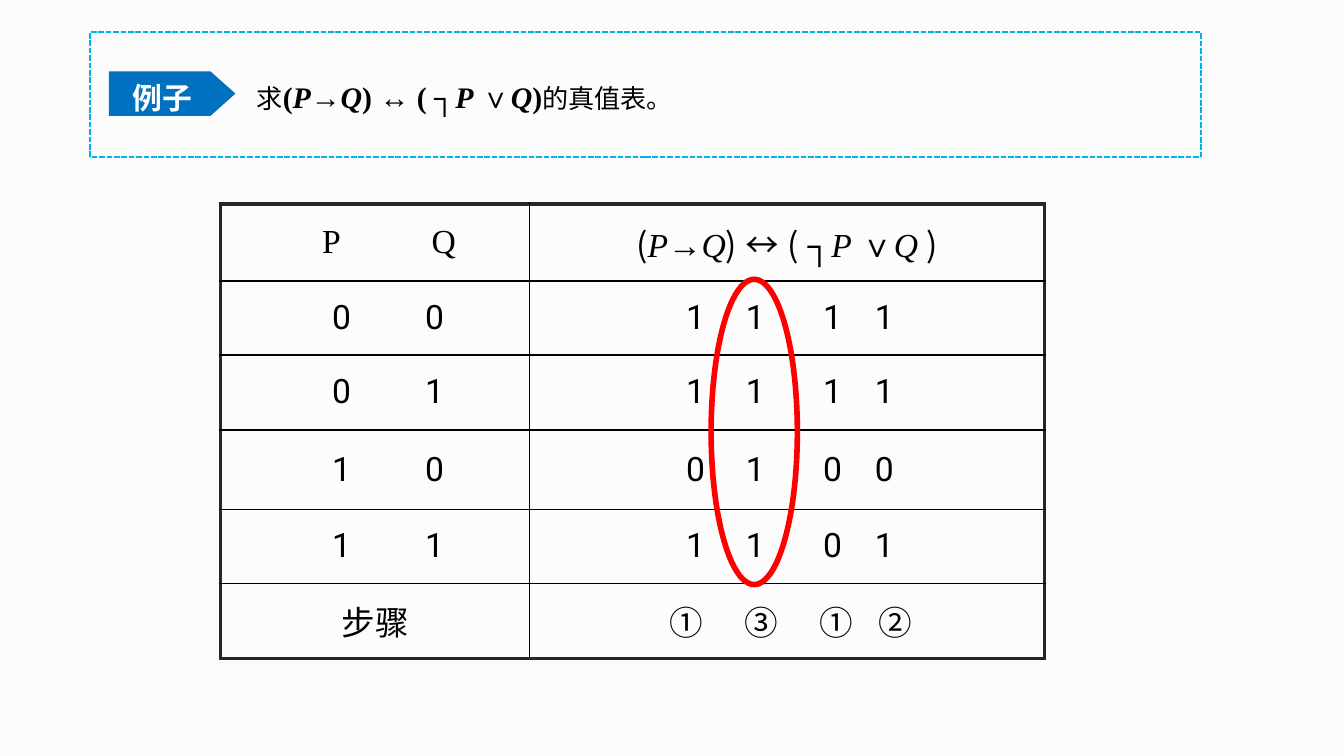
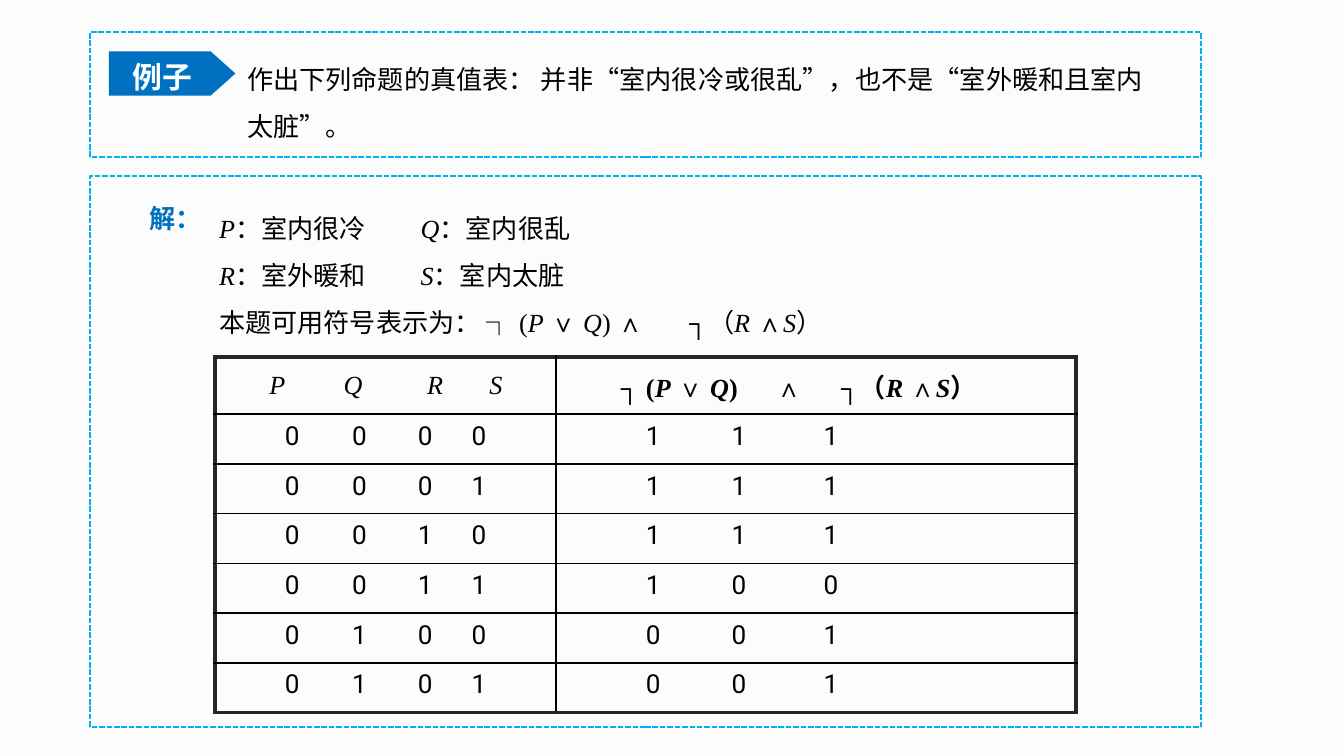
"""Build two slides on truth tables of propositional formulas."""
from dataclasses import dataclass
from itertools import groupby
from typing import Any, NamedTuple

from lxml import etree
from pptx import Presentation
from pptx.dml.color import RGBColor
from pptx.enum.dml import MSO_LINE
from pptx.enum.shapes import MSO_SHAPE
from pptx.enum.text import MSO_ANCHOR, MSO_AUTO_SIZE, PP_ALIGN
from pptx.oxml.ns import qn
from pptx.util import Cm, Pt

BLACK = RGBColor(0x00, 0x00, 0x00)
WHITE = RGBColor(0xFF, 0xFF, 0xFF)
PAPER = RGBColor(0xFC, 0xFC, 0xFC)
BLUE = RGBColor(0x00, 0x70, 0xC0)
SKY = RGBColor(0x00, 0xB0, 0xF0)
RED = RGBColor(0xFF, 0x00, 0x00)
CHARCOAL = RGBColor(0x26, 0x26, 0x26)

SERIF = "Times New Roman"
SANS = "Noto Sans CJK SC"
DIGITS = "Roboto"

RECTANGLE, OVAL, PENTAGON = MSO_SHAPE.RECTANGLE, MSO_SHAPE.OVAL, MSO_SHAPE.PENTAGON
DASHED = MSO_LINE.SQUARE_DOT
TOP, MIDDLE = MSO_ANCHOR.TOP, MSO_ANCHOR.MIDDLE
LEFT, CENTER, JUSTIFY = PP_ALIGN.LEFT, PP_ALIGN.CENTER, PP_ALIGN.JUSTIFY
FIXED = MSO_AUTO_SIZE.NONE

TITLE_AND_CONTENT, TITLE_ONLY = 1, 5
LINE_BREAK = "\n"


class Box(NamedTuple):
    """Place and size in centimetres."""
    left: float
    top: float
    width: float
    height: float

    def lengths(self) -> list[Cm]:
        """Give the four measures as lengths."""
        return [Cm(value) for value in self]


class Span(NamedTuple):
    """Piece of text in one format."""
    text: str
    size: float
    font: str = SERIF
    color: RGBColor = BLACK
    bold: bool = False
    italic: bool = False


class Stops(NamedTuple):
    """Tab positions in centimetres and their alignment."""
    positions: tuple[float, ...] = ()
    kind: str = "ctr"


@dataclass(frozen=True)
class Entry:
    """Paragraph with its tab stops and layout."""
    spans: list[Span]
    stops: Stops = Stops()
    align: Any = LEFT
    spacing: float = 1.0


@dataclass(frozen=True)
class TruthTable:
    """Grid of entries with its measures in centimetres."""
    left: float
    top: float
    widths: tuple[float, ...]
    heights: tuple[float, ...]
    rows: list[tuple[Entry, ...]]
    anchor: Any


TASK_FRAME = Box(1.7, 0.61, 21, 2.36)
SOLUTION_FRAME = Box(1.7, 3.33, 21, 10.41)


def formula(text: str, size: float, bold: bool = False, signs: str = SERIF) -> list[Span]:
    """Split a formula so that its variables are italic and its outer signs have a font."""
    groups = groupby(text, lambda char: (char in "PQRS", char in "()↔"))
    return [Span("".join(chars), size, signs if sign else SERIF, BLACK, bold, variable)
            for (variable, sign), chars in groups]


def tabbed(marks: str, stops: Stops, size: float, font: str = DIGITS, italic: bool = False) -> Entry:
    """Put each mark on a tab stop of its own."""
    text = "".join(f"\t{mark}" for mark in marks)
    return Entry([Span(text, size, font, italic=italic)], stops)


def write(frame: Any, entries: list[Entry]) -> None:
    """Fill a text frame with entries."""
    for index, entry in enumerate(entries):
        paragraph = frame.paragraphs[0] if index == 0 else frame.add_paragraph()
        if entry.stops.positions:
            tabs = etree.SubElement(paragraph._p.get_or_add_pPr(), qn("a:tabLst"))
            for position in entry.stops.positions:
                etree.SubElement(tabs, qn("a:tab"), pos=str(Cm(position)), algn=entry.stops.kind)
        layout = {"alignment": entry.align, "line_spacing": entry.spacing, "space_before": Pt(0)}
        for name, value in layout.items():
            setattr(paragraph, name, value)
        for span in entry.spans:
            if span.text == LINE_BREAK:
                paragraph.add_line_break()
                continue
            run = paragraph.add_run()
            run.text = span.text
            look = {"size": Pt(span.size), "name": span.font, "bold": span.bold, "italic": span.italic}
            for name, value in look.items():
                setattr(run.font, name, value)
            run.font.color.rgb = span.color
            etree.SubElement(run._r.get_or_add_rPr(), qn("a:ea"), typeface=SANS)


def fill_placeholder(holder: Any, box: Box, entries: list[Entry], anchor: Any,
                     inset: tuple[float, float]) -> None:
    """Move a placeholder and write its text without bullets."""
    holder.left, holder.top, holder.width, holder.height = box.lengths()
    across, down = (Cm(value) for value in inset)
    layout = {"word_wrap": True, "auto_size": FIXED, "vertical_anchor": anchor,
              "margin_left": across, "margin_right": across,
              "margin_top": down, "margin_bottom": down}
    for name, value in layout.items():
        setattr(holder.text_frame, name, value)
    styles = holder.text_frame._txBody.find(qn("a:lstStyle"))
    level = etree.SubElement(styles, qn("a:lvl1pPr"), marL="0", indent="0")
    etree.SubElement(level, qn("a:buNone"))
    write(holder.text_frame, entries)


def add_outline(slide: Any, kind: Any, box: Box, color: RGBColor, weight: float, dash: Any = None) -> None:
    """Draw an unfilled shape."""
    outline = slide.shapes.add_shape(kind, *box.lengths())
    outline.shadow.inherit = False
    outline.fill.background()
    outline.line.color.rgb = color
    outline.line.width = Pt(weight)
    outline.line.dash_style = dash


def add_task(slide: Any, box: Box, statement: Entry, tag_top: float) -> None:
    """Draw the framed task with its tag and statement."""
    fill_placeholder(slide.shapes.title, box, [statement], TOP, (0.2, 0.1))
    add_outline(slide, RECTANGLE, TASK_FRAME, SKY, 1, DASHED)
    tag = slide.shapes.add_shape(PENTAGON, *Box(2.06, tag_top, 2.39, 0.84).lengths())
    tag.adjustments[0] = 0.56
    tag.shadow.inherit = False
    tag.fill.solid()
    tag.fill.fore_color.rgb = BLUE
    tag.line.fill.background()
    tag.text_frame.vertical_anchor = MIDDLE
    write(tag.text_frame, [Entry([Span("例子 ", 16, SANS, WHITE, True)], align=CENTER, spacing=1.2)])


def add_border(cell: Any, edge: str, outer: bool) -> None:
    """Rule one edge of a cell."""
    width, color = (Pt(2.25), CHARCOAL) if outer else (Pt(1), BLACK)
    line = etree.SubElement(cell._tc.get_or_add_tcPr(), qn(f"a:ln{edge}"), w=str(width))
    solid = etree.SubElement(line, qn("a:solidFill"))
    etree.SubElement(solid, qn("a:srgbClr"), val=str(color))


def add_truth_table(slide: Any, truth: TruthTable) -> None:
    """Draw a truth table with a heavy outer border."""
    last_row, last_column = len(truth.heights) - 1, len(truth.widths) - 1
    box = Box(truth.left, truth.top, sum(truth.widths), sum(truth.heights))
    table = slide.shapes.add_table(last_row + 1, last_column + 1, *box.lengths()).table
    table.first_row = table.horz_banding = False
    for column, width in zip(table.columns, truth.widths):
        column.width = Cm(width)
    for row, height in zip(table.rows, truth.heights):
        row.height = Cm(height)
    for r, entries in enumerate(truth.rows):
        for c, entry in enumerate(entries):
            cell = table.cell(r, c)
            outer = {"L": c == 0, "R": c == last_column, "T": r == 0, "B": r == last_row}
            for edge, is_outer in outer.items():
                add_border(cell, edge, is_outer)
            cell.fill.background()
            cell.vertical_anchor = MIDDLE if r == 0 else truth.anchor
            write(cell.text_frame, [entry])


def build_equivalence(deck: Any) -> None:
    """Build the slide with the tautology."""
    slide = deck.slides.add_slide(deck.slide_layouts[TITLE_ONLY])
    statement = [Span("求", 14), *formula("(P→Q) ↔ ( ┐P ∨Q)", 16, True), Span("的真值表。", 14)]
    add_task(slide, Box(4.65, 1.04, 17.98, 1.09), Entry(statement, align=JUSTIFY, spacing=1.5), 1.35)

    inputs = Stops((2.03, 3.79))
    results = Stops((2.88, 4.01, 5.47, 6.45))
    values = [("00", "1111"), ("01", "1111"), ("10", "0100"), ("11", "1101")]
    header = (tabbed("PQ", Stops((1.84, 3.96)), 18, SERIF),
              Entry(formula("(P→Q) ↔ ( ┐P ∨Q )", 18, signs=SANS), align=CENTER))
    steps = (Entry([Span("步骤", 18, DIGITS)], align=CENTER),
             tabbed("①③①②", Stops((2.71, 4.13, 5.55, 6.66)), 18, SANS))
    body = [(tabbed(given, inputs, 18), tabbed(found, results, 18)) for given, found in values]
    add_truth_table(slide, TruthTable(4.17, 3.86, (5.84, 9.73), (1.45, 1.4, 1.42, 1.5, 1.4, 1.42),
                                      [header, *body, steps], MIDDLE))
    add_outline(slide, OVAL, Box(13.44, 5.28, 1.63, 5.77), RED, 3)


def build_proposition(deck: Any) -> None:
    """Build the slide with the worded proposition."""
    slide = deck.slides.add_slide(deck.slide_layouts[TITLE_AND_CONTENT])
    task = "作出下列命题的真值表： 并非“室内很冷或很乱”，也不是“室外暖和且室内太脏”。"
    add_task(slide, Box(4.47, 0.81, 17.48, 1.96), Entry([Span(task, 14)], spacing=1.5), 0.97)

    label = slide.shapes.add_textbox(*Box(2.57, 3.71, 1.47, 0.86).lengths())
    label.text_frame.word_wrap = False
    write(label.text_frame, [Entry([Span("解：", 14, SANS, BLUE, True)])])
    add_outline(slide, RECTANGLE, SOLUTION_FRAME, SKY, 1, DASHED)

    symbols = [*formula("P：室内很冷\tQ：室内很乱", 14), Span(LINE_BREAK, 14),
               *formula("R：室外暖和\tS：室内太脏", 14)]
    solution = [Entry(symbols, Stops((3.69,), "l"), spacing=1.5),
                Entry(formula("本题可用符号表示为： ┐ (P ∨ Q) ∧\t┐（R ∧S）", 14),
                      Stops((8.49,), "l"), spacing=1.5)]
    fill_placeholder(slide.placeholders[1], Box(3.89, 3.71, 19.15, 2.67), solution, MIDDLE, (0.25, 0.13))

    inputs = Stops((1.21, 2.48, 3.72, 4.74))
    results = Stops((1.58, 3.2, 4.94))
    found = ("111", "111", "111", "100", "001", "001")
    header = (tabbed("PQRS", Stops((0.93, 2.36, 3.91, 5.06)), 14, SERIF, True),
              Entry(formula("\t┐ (P ∨ Q)\t∧\t┐（R ∧S）", 14, True), Stops((0.97, 3.9, 5.13), "l")))
    body = [(tabbed(f"{number:04b}", inputs, 14), tabbed(result, results, 14))
            for number, result in enumerate(found)]
    heights = (1.08, *[0.94] * len(found))
    add_truth_table(slide, TruthTable(4.06, 6.75, (6.45, 9.83), heights, [header, *body], TOP))


def main() -> None:
    """Build and save the deck."""
    deck = Presentation()
    deck.slide_width, deck.slide_height = Cm(25.4), Cm(14.29)
    backdrop = deck.slide_master.background.fill
    backdrop.solid()
    backdrop.fore_color.rgb = PAPER
    build_equivalence(deck)
    build_proposition(deck)
    deck.save("out.pptx")


if __name__ == "__main__":
    main()
